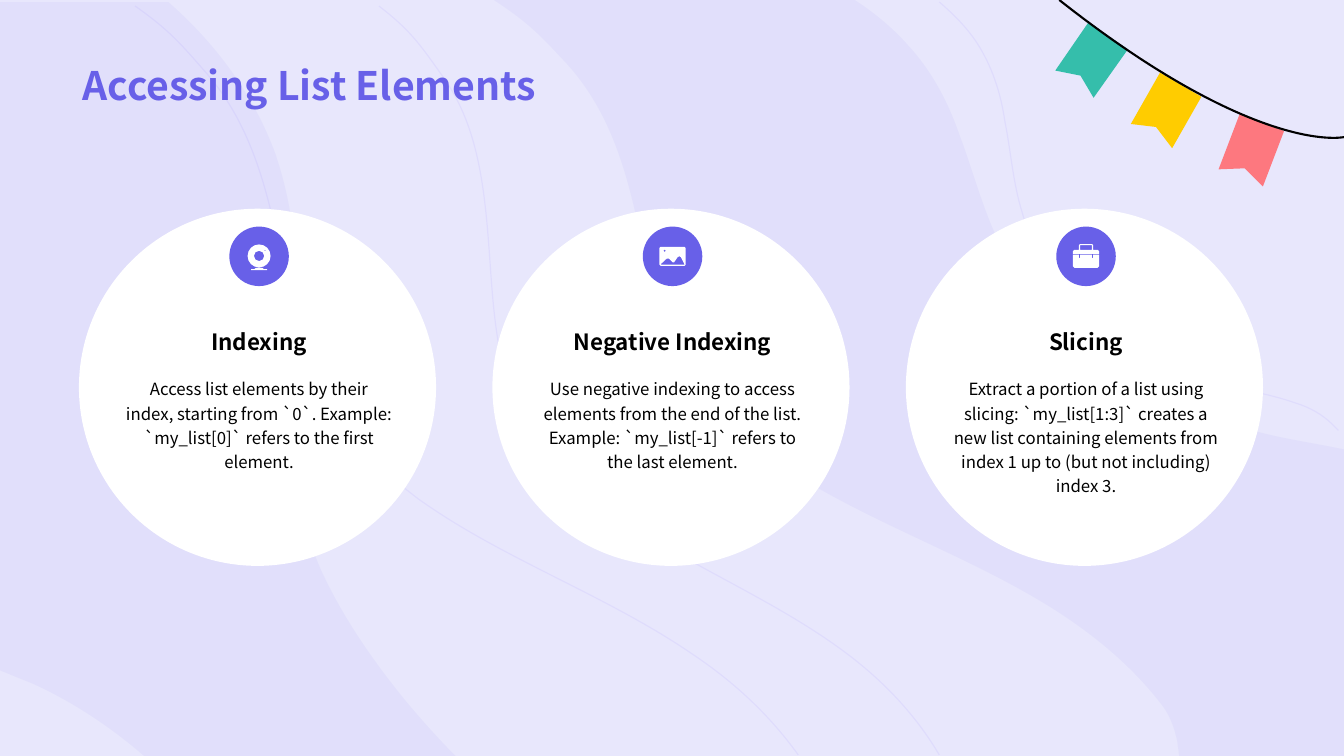
from dataclasses import dataclass

import lxml.etree
import pptx
import pptx.dml.color
import pptx.enum.shapes
import pptx.enum.text
import pptx.oxml.ns
import pptx.util

Cm = pptx.util.Cm
qn = pptx.oxml.ns.qn
INCH = 2.54


@dataclass(frozen=True)
class Theme:
    font: str = "Noto Sans CJK SC"
    backdrop: str = "E8E7FC"
    wave: str = "6353EF"
    strand: str = "593CFC"
    accent: str = "6860E8"
    ink: str = "000000"
    paper: str = "FFFFFF"
    coral: str = "FD787F"
    yellow: str = "FFCC00"
    teal: str = "35BEAB"
    title: int = 28
    heading: int = 16
    body: int = 12


def paint(fill, color, alpha=100):
    fill.solid()
    fill.fore_color.rgb = pptx.dml.color.RGBColor.from_string(color)
    if alpha < 100:
        lxml.etree.SubElement(fill._xPr.find(".//" + qn("a:srgbClr")), qn("a:alpha"), val=str(alpha * 1000))


def write(tf, text, *, font, size, color, bold=False, align="LEFT", anchor="TOP", spacing=None, fit="NONE"):
    tf.word_wrap = True
    tf.auto_size = pptx.enum.text.MSO_AUTO_SIZE[fit]
    tf.vertical_anchor = pptx.enum.text.MSO_ANCHOR[anchor]
    p = tf.paragraphs[0]
    p.alignment = pptx.enum.text.PP_ALIGN[align]
    p.line_spacing = spacing
    r = p.add_run()
    r.text = text
    r.font.name, r.font.size, r.font.bold = font, pptx.util.Pt(size), bold
    r.font.color.rgb = pptx.dml.color.RGBColor.from_string(color)


def bend(sp, contours):
    lines = iter(list(sp._element.iter(qn("a:lnTo"))))
    for seg in (seg for contour in contours for seg in contour[1:]):
        first = next(lines)
        if len(seg) == 6:
            first.tag = qn("a:cubicBezTo")
            for _ in range(2):
                extra = next(lines)
                first.append(extra[0])
                extra.getparent().remove(extra)


def ring(x, y, r):
    k = 0.55 * r
    return [(x + r, y), (x + r, y + k, x + k, y + r, x, y + r), (x - k, y + r, x - r, y + k, x - r, y),
            (x - r, y - k, x - k, y - r, x, y - r), (x + k, y - r, x + r, y - k, x + r, y)]


def box(left, top, right, bottom):
    return [(left, top), (right, top), (right, bottom), (left, bottom)]


class Deck:
    def __init__(self, theme):
        self.theme = theme
        self.prs = pptx.Presentation()
        self.prs.slide_width, self.prs.slide_height = Cm(33.87), Cm(19.05)
        self.s = self.prs.slides.add_slide(self.prs.slide_layouts[6])
        paint(self.s.background.fill, theme.backdrop)

    def outline(self, *contours, fill=None, line=None, width=1, alpha=100, unit=1, origin=(0, 0)):
        paths = [[(Cm(seg[k] * unit + origin[0]), Cm(seg[k + 1] * unit + origin[1]))
                  for seg in contour for k in range(0, len(seg), 2)] for contour in contours]
        builder = self.s.shapes.build_freeform(*paths[0][0], scale=1.0)
        for i, points in enumerate(paths):
            if i:
                builder.move_to(*points[0])
            builder.add_line_segments(points[1:], close=fill is not None)
        sp = builder.convert_to_shape()
        bend(sp, contours)
        sp.shadow.inherit = False
        if fill:
            paint(sp.fill, fill, alpha)
            sp.line.fill.background()
        else:
            sp.fill.background()
            sp.line.width = pptx.util.Pt(width)
            paint(sp.line.fill, line, alpha)

    def disc(self, x, y, diameter, color):
        sp = self.s.shapes.add_shape(pptx.enum.shapes.MSO_SHAPE.OVAL, Cm(x - diameter / 2),
                                     Cm(y - diameter / 2), Cm(diameter), Cm(diameter))
        sp.shadow.inherit = False
        paint(sp.fill, color)
        sp.line.fill.background()

    def text(self, left, top, width, height, text, **style):
        sp = self.s.shapes.add_textbox(Cm(left), Cm(top), Cm(width), Cm(height))
        write(sp.text_frame, text, font=self.theme.font, **style)

    def card(self, x, heading, body, height, icon):
        t = self.theme
        style = dict(color=t.ink, align="CENTER", fit="SHAPE_TO_FIT_TEXT")
        self.disc(x - 0.04, 9.76, 9, t.paper)
        self.text(x - 3.63, 8.13, 7.26, 0.94, heading, size=t.heading, bold=True, anchor="BOTTOM", **style)
        self.text(x - 3.63, 9.33, 7.26, height, body, size=t.body, spacing=1.2, **style)
        self.disc(x, 6.46, 1.5, t.accent)
        self.outline(*icon, fill=t.paper, origin=(x, 6.46))


WAVES = [
    [(8.48, 0), (4.9, 0), (5.25, .23, 5.36, .35, 5.63, .64), (5.99, 1.04, 6.16, 1.52, 6.28, 2.01),
     (6.4, 2.5, 6.47, 3, 6.69, 3.47), (6.8, 3.71, 6.95, 3.93, 7.14, 4.12),
     (7.32, 4.3, 7.52, 4.46, 7.74, 4.61), (8.59, 5.18, 9.62, 5.51, 10.48, 6.06),
     (10.9, 6.33, 11.26, 6.64, 11.54, 7.01), (11.6, 7.09, 11.65, 7.21, 11.68, 7.35),
     (11.7, 7.5), (13.34, 7.5), (13.34, 4.46), (13.06, 4.4, 12.77, 4.36, 12.5, 4.29),
     (12.12, 4.21, 11.75, 4.09, 11.42, 3.9), (10.77, 3.53, 10.21, 3, 9.9, 2.38),
     (9.74, 2.04, 9.65, 1.68, 9.52, 1.34), (9.41, 1.02, 9.25, .71, 9.01, .45),
     (8.86, .28, 8.68, .13, 8.48, 0)],
    [(1.67, .02), (0, .02), (0, 6.65), (.12, 6.7, .22, 6.74, .32, 6.78),
     (.74, 6.97, 1.12, 7.23, 1.43, 7.5), (4.52, 7.5), (4.35, 7.33, 4.19, 7.15, 4.03, 6.96),
     (3.72, 6.58, 3.44, 6.18, 3.23, 5.75), (3, 5.29, 2.93, 4.78, 2.92, 4.28),
     (2.91, 3.78, 2.96, 3.27, 2.94, 2.76), (2.93, 2.34, 2.87, 1.93, 2.73, 1.52),
     (2.52, .95, 2.15, .44, 1.67, .02)],
]
STRANDS = [
    [(7.92, 7.49), (7.64, 7.1, 7.29, 6.77, 6.87, 6.49), (6.01, 5.9, 4.99, 5.55, 4.15, 4.95),
     (3.94, 4.79, 3.74, 4.62, 3.56, 4.43), (3.37, 4.22, 3.22, 3.99, 3.11, 3.74),
     (2.9, 3.24, 2.82, 2.71, 2.71, 2.19), (2.59, 1.67, 2.42, 1.16, 2.06, .74),
     (1.79, .43, 1.68, .3, 1.34, .06)],
    [(9.32, .02), (9.46, .14, 9.59, .27, 9.69, .42), (9.84, .65, 9.93, .92, 9.97, 1.2),
     (10.03, 1.5, 10.05, 1.81, 10.14, 2.1), (10.29, 2.65, 10.67, 3.11, 11.16, 3.44),
     (11.4, 3.6, 11.68, 3.71, 11.98, 3.78), (12.27, 3.86, 12.58, 3.9, 12.86, 4),
     (12.99, 4.04, 13.12, 4.11, 13.22, 4.21), (13.24, 4.23, 13.26, 4.25, 13.28, 4.27)],
    [(9.32, 7.49), (9.09, 7.1, 8.78, 6.77, 8.41, 6.49), (7.63, 5.9, 6.65, 5.55, 5.9, 4.95),
     (5.71, 4.79, 5.53, 4.62, 5.38, 4.43), (5.21, 4.22, 5.1, 3.99, 5.02, 3.74),
     (4.88, 3.24, 4.88, 2.71, 4.83, 2.19), (4.78, 1.67, 4.69, 1.16, 4.38, .74),
     (4.16, .43, 4.07, .3, 3.76, .06)],
]
FLAGS = {
    "coral": [(12.74, 1.3), (12.53, 1.85), (12.35, 1.67), (12.09, 1.68), (12.3, 1.13)],
    "yellow": [(11.92, .96), (11.63, 1.47), (11.47, 1.26), (11.22, 1.23), (11.51, .72)],
    "teal": [(11.19, .49), (10.85, .97), (10.72, .75), (10.47, .7), (10.8, .22)],
}
STRING = [(13.34, 1.36), (13.11, 1.4, 12.21, 1.34, 10.51, 0)]

WEBCAM = [ring(0, -.01, .29), ring(0, -.01, .13), ring(.15, -.15, .02),
          [(-.08, .29), (.08, .29), (.12, .32), (.2, .32), (.2, .35), (-.2, .35), (-.2, .32), (-.12, .32)]]
PHOTO = [[(-.3, -.24), (.3, -.24), (.32, -.24, .33, -.23, .33, -.21), (.33, .21),
          (.33, .23, .32, .24, .3, .24), (-.3, .24), (-.32, .24, -.33, .23, -.33, .21), (-.33, -.21),
          (-.33, -.23, -.32, -.24, -.3, -.24)],
         ring(-.2, -.14, .03),
         [(-.3, .2), (-.15, .06), (-.13, .04, -.11, .04, -.09, .06), (0, .15), (.01, .17, .03, .17, .04, .15),
          (.13, .02), (.15, -.01, .19, -.01, .21, .02), (.3, .2), (.3, .21), (-.28, .21)]]
BRIEFCASE = [[(-.33, -.06), (-.33, -.13), (-.33, -.15, -.32, -.16, -.3, -.16), (.3, -.16),
              (.32, -.16, .33, -.15, .33, -.13), (.33, -.06)],
             [(-.18, -.16), (-.18, -.27), (-.18, -.3, -.16, -.31, -.13, -.31), (.13, -.31),
              (.16, -.31, .18, -.3, .18, -.27), (.18, -.16)],
             box(-.15, -.28, .15, -.16),
             [(-.33, -.04), (-.18, -.04), (-.18, .04), (-.15, .04), (-.15, -.04), (.15, -.04), (.15, .04),
              (.18, .04), (.18, -.04), (.33, -.04), (.33, .25), (.33, .28, .32, .29, .29, .29), (-.29, .29),
              (-.32, .29, -.33, .28, -.33, .25)]]

CARDS = [
    ("Indexing", "Access list elements by their index, starting from `0`. Example: `my_list[0]` "
     "refers to the first element.", 1.65, WEBCAM),
    ("Negative Indexing", "Use negative indexing to access elements from the end of the list. "
     "Example: `my_list[-1]` refers to the last element.", 1.65, PHOTO),
    ("Slicing", "Extract a portion of a list using slicing: `my_list[1:3]` creates a new list "
     "containing elements from index 1 up to (but not including) index 3.", 2.41, BRIEFCASE),
]


def main():
    t = Theme()
    deck = Deck(t)
    for wave in WAVES:
        deck.outline(wave, fill=t.wave, alpha=5, unit=INCH)
    for strand in STRANDS:
        deck.outline(strand, line=t.strand, width=0.85, alpha=5, unit=INCH)
    for color, flag in FLAGS.items():
        deck.outline(flag, fill=getattr(t, color), unit=INCH)
    deck.outline(STRING, line=t.ink, width=1.5, unit=INCH)
    for i, card in enumerate(CARDS):
        deck.card(6.53 + 10.42 * i, *card)
    deck.text(1.83, 0, 30.18, 2.86, "Accessing List Elements", size=t.title, color=t.accent,
              bold=True, anchor="BOTTOM")
    deck.prs.save("out.pptx")


if __name__ == "__main__":
    main()
